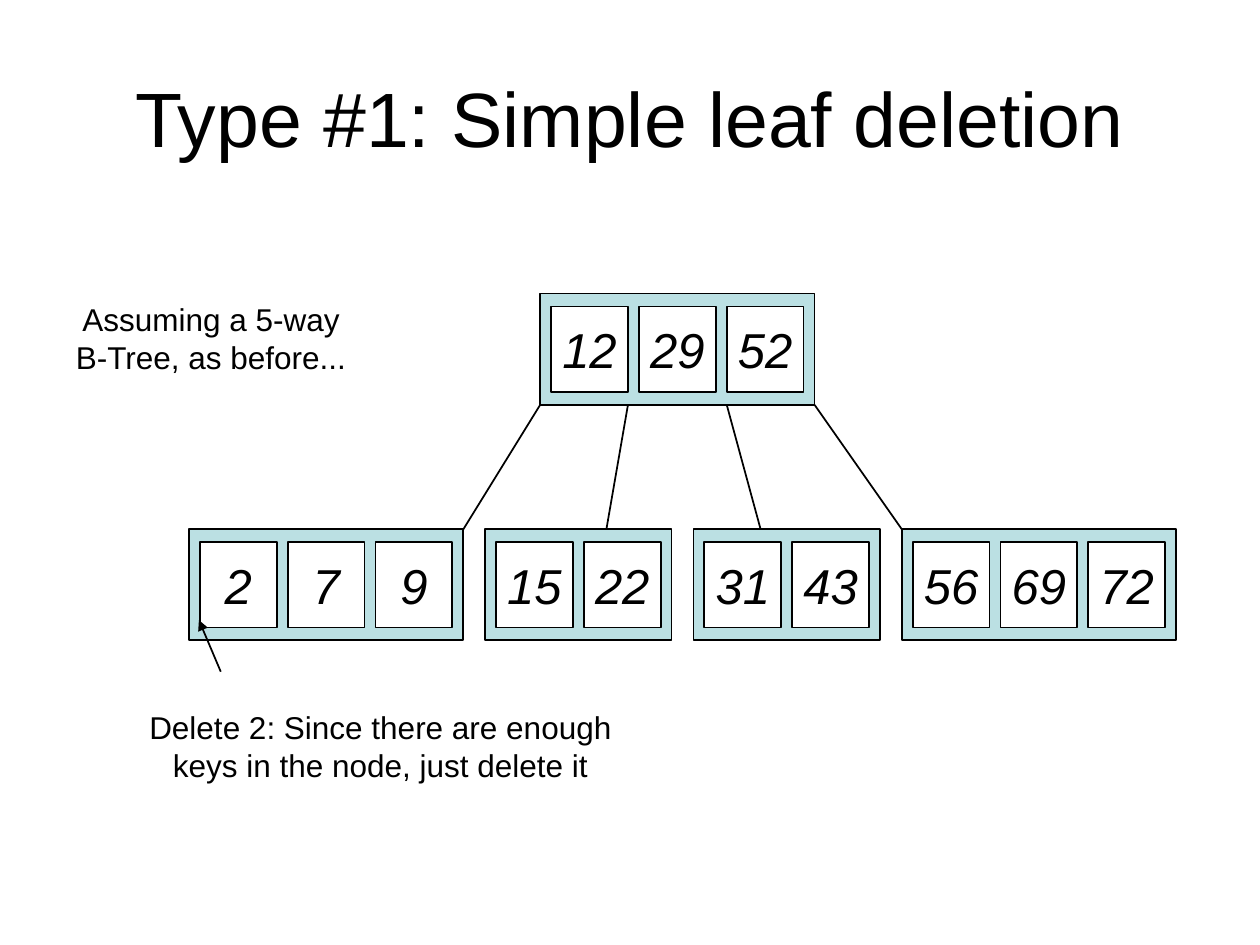
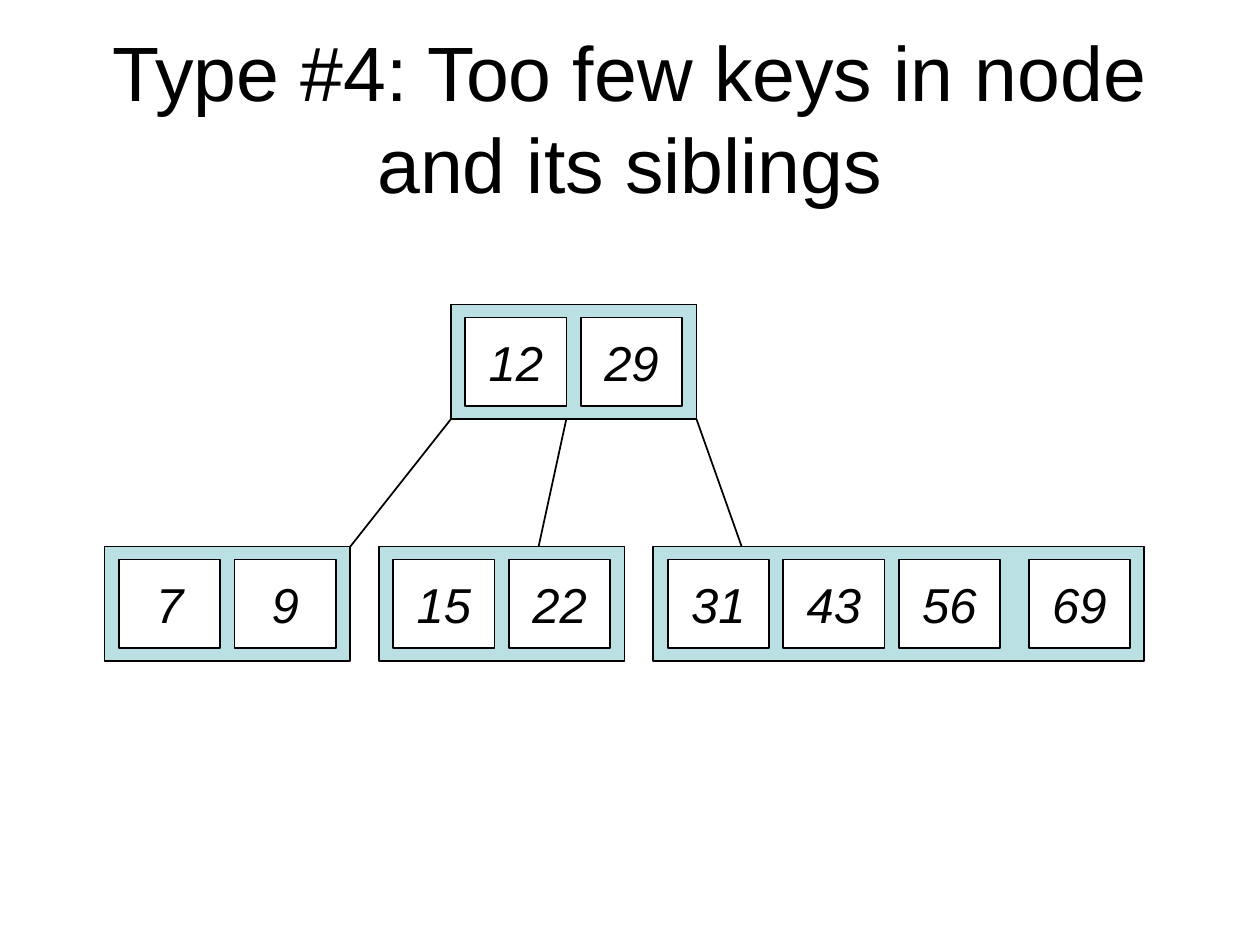
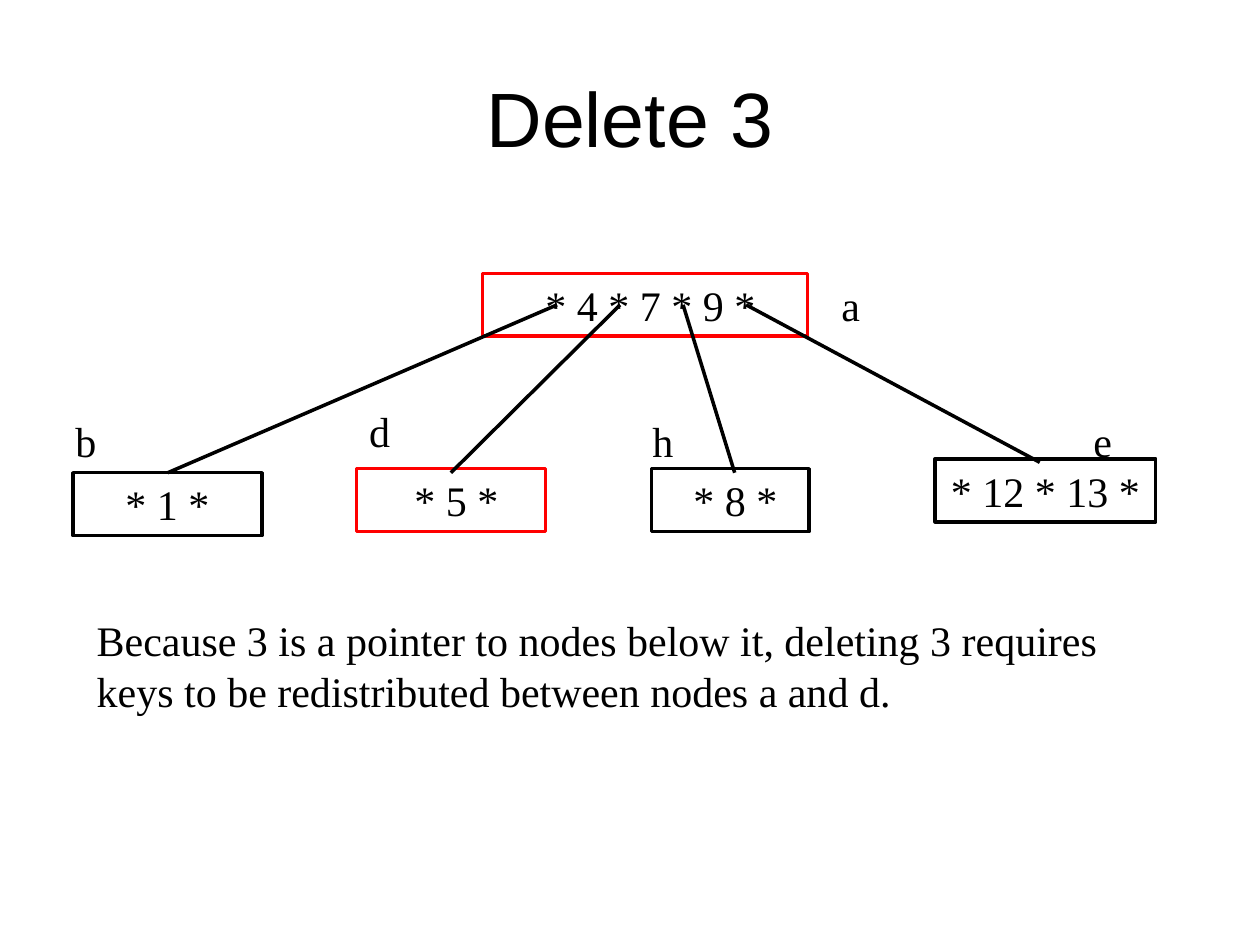
import pptx
import pptx.dml.color
import pptx.enum.shapes
import pptx.enum.text
import pptx.oxml
import pptx.oxml.ns
import pptx.util

Cm = pptx.util.Cm
Pt = pptx.util.Pt
ALIGN = pptx.enum.text.PP_ALIGN
ANCHOR = pptx.enum.text.MSO_ANCHOR
RECT = pptx.enum.shapes.MSO_SHAPE.RECTANGLE
LINE = pptx.enum.shapes.MSO_CONNECTOR.STRAIGHT

BLACK = "000000"
WHITE = "FFFFFF"
RED = "FF0000"
TEAL = "BBE0E3"
SANS = "Arial"
SERIF = "Times New Roman"

TITLE = (1.27, 0.76, 22.86, 3.18)
PAD = 0.26
ROW = 1.27


def tint(code):
    return pptx.dml.color.RGBColor.from_string(code)


def style(shape, text, size, font=SANS, align=ALIGN.CENTER,
          anchor=ANCHOR.MIDDLE, wrap=True, italic=False):
    frame = shape.text_frame
    frame.text = text
    frame.word_wrap = wrap
    frame.vertical_anchor = anchor
    for para in frame.paragraphs:
        para.alignment = align
        for run in para.runs:
            run.font.name = font
            run.font.size = Pt(size)
            run.font.italic = italic
            run.font.color.rgb = tint(BLACK)
    return frame


def write(slide, box, text, size, **look):
    shape = slide.shapes.add_textbox(*map(Cm, box))
    return style(shape, text, size, **look)


def rect(slide, box, fill=None, edge=BLACK, width=1):
    shape = slide.shapes.add_shape(RECT, *map(Cm, box))
    shape.shadow.inherit = False
    if fill:
        shape.fill.solid()
        shape.fill.fore_color.rgb = tint(fill)
    else:
        shape.fill.background()
    shape.line.color.rgb = tint(edge)
    shape.line.width = Pt(width)
    return shape


def link(slide, start, end, width=1, arrow=False):
    line = slide.shapes.add_connector(LINE, *map(Cm, start + end))
    line.line.color.rgb = tint(BLACK)
    line.line.width = Pt(width)
    props = line._element.spPr
    if arrow:
        head = pptx.oxml.parse_xml(
            f'<a:tailEnd {pptx.oxml.ns.nsdecls("a")} type="triangle"/>')
        line.line._get_or_add_ln().append(head)
    props.append(pptx.oxml.parse_xml(
        f'<a:effectLst {pptx.oxml.ns.nsdecls("a")}/>'))


def start(deck, title):
    slide = deck.slides.add_slide(deck.slide_layouts[6])
    write(slide, TITLE, title, 44)
    return slide


def node(slide, left, top, keys, cell, gap, tall):
    parts = keys.split()
    count = len(parts) - parts.count("|")
    width = count * cell + (len(parts) + 1) * gap
    rect(slide, (left, top, width, tall), TEAL)
    spot = left + gap
    for part in parts:
        if part == "|":
            spot += gap
            continue
        box = rect(slide, (spot, top + PAD, cell, tall - 2 * PAD), WHITE)
        style(box, part, 28, wrap=False, italic=True)
        spot += cell + gap
    return left, width


def tree(slide, left, top, root, leaves, links, cell, gap, tall, drop):
    shift, keys = root
    size = (cell, gap, tall)
    base, span = node(slide, left + shift, top, keys, *size)
    for keys, (out, into) in zip(leaves, links):
        left, width = node(slide, left, top + drop, keys, *size)
        link(slide, (base + out * span, top + tall),
             (left + into * width, top + drop))
        left += width + 2 * gap


def block(slide, left, top, width, text, tag, offset, edge=BLACK, indent=0):
    box = rect(slide, (left, top, width, ROW), edge=edge, width=2)
    frame = style(box, text, 24, font=SERIF, anchor=ANCHOR.TOP)
    frame.margin_left = Cm(0.25 + indent)
    right, down = offset
    label(slide, (left + right, top + down, ROW, ROW), tag)


def label(slide, box, text):
    write(slide, box, text, 24, font=SERIF, align=ALIGN.LEFT,
          anchor=ANCHOR.TOP)


def simple(deck):
    slide = start(deck, "Type #1: Simple leaf deletion")
    tree(slide, 3.81, 5.92, (7.08, "12 29 52"),
         ["2 7 9", "15 22", "31 43", "56 69 72"],
         [(0, 1), (0.32, 0.65), (0.68, 0.36), (1, 0)],
         cell=1.55, gap=0.22, tall=2.24, drop=4.75)
    write(slide, (2.67, 14.15, 10, 1.78),
          "Delete 2: Since there are enough\nkeys in the node, just delete it",
          18, wrap=False)
    link(slide, (4.45, 13.54), (4.01, 12.5), arrow=True)
    write(slide, (1.27, 5.92, 5.97, 1.78),
          "Assuming a 5-way\nB-Tree, as before...", 18, wrap=False)


def merge(deck):
    slide = start(deck, "Type #4: Too few keys in node and its siblings")
    tree(slide, 2.11, 6.14, (6.98, "12 29"),
         ["7 9", "15 22", "31 43 56 | 69"],
         [(0, 1), (0.47, 0.65), (1, 0.18)],
         cell=2.04, gap=0.29, tall=2.31, drop=4.88)


def spread(deck):
    slide = start(deck, "Delete 3")
    left, top = 9.73, 5.51
    block(slide, left, top, 6.55, "* 4 * 7 * 9 *", "a", (6.98, 0), RED, 0.21)
    leaves = [
        (1.47, 9.53, 3.81, "* 1 *", "b", (-0.2, -1.27)),
        (7.19, 9.45, 3.81, "* 5 *", "d", (0, -1.4), RED, 0.21),
        (13.13, 9.45, 3.18, "* 8 *", "h", (-0.23, -1.19), BLACK, 0.21),
        (18.85, 9.25, 4.45, "* 12 * 13 *", "e", (2.94, -0.99)),
    ]
    feet = [(1.91, 0), (1.9, 0.08), (1.68, 0.08), (2.11, 0.07)]
    for step, (leaf, foot) in enumerate(zip(leaves, feet)):
        block(slide, *leaf)
        link(slide, (left + 1.5 + step * ROW, top + ROW / 2),
             (leaf[0] + foot[0], leaf[1] + foot[1]), width=2)
    label(slide, (1.7, 12.27, 21.39, 2.29),
          "Because 3 is a pointer to nodes below it, deleting 3 requires "
          "keys to be redistributed between nodes a and d.")


def main():
    deck = pptx.Presentation()
    deck.slide_width = Cm(25.4)
    deck.slide_height = Cm(19.05)
    simple(deck)
    merge(deck)
    spread(deck)
    deck.save("out.pptx")


if __name__ == "__main__":
    main()
